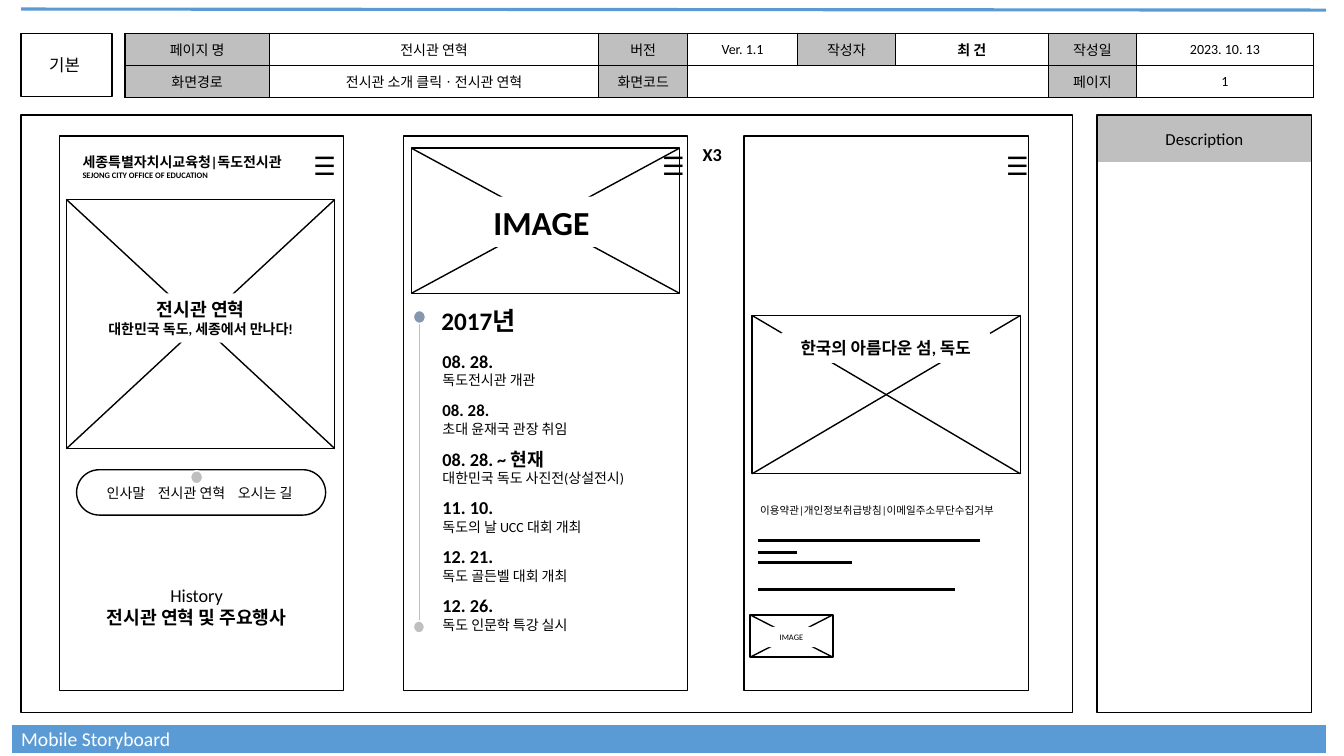
from lxml import etree
from pptx import Presentation
from pptx.dml.color import RGBColor
from pptx.enum.shapes import MSO_CONNECTOR, MSO_SHAPE
from pptx.enum.text import MSO_ANCHOR, PP_ALIGN
from pptx.oxml.ns import qn
from pptx.util import Inches, Pt

RECTANGLE, OVAL, PILL = MSO_SHAPE.RECTANGLE, MSO_SHAPE.OVAL, MSO_SHAPE.ROUNDED_RECTANGLE
STRAIGHT = MSO_CONNECTOR.STRAIGHT
LEFT, CENTER = PP_ALIGN.LEFT, PP_ALIGN.CENTER
TOP, MIDDLE = MSO_ANCHOR.TOP, MSO_ANCHOR.MIDDLE

BLACK, WHITE, GRAY, BLUE, SLATE = "000000", "FFFFFF", "BFBFBF", "5B9BD5", "8497B0"
FONT = "Calibri"
TITLE_ONLY = 5


def color(hex_code):
    return RGBColor.from_string(hex_code)


def inches(*lengths):
    return [Inches(length) for length in lengths]


class Storyboard:
    def __init__(self, slide):
        self.slide = slide
        self.shapes = slide.shapes

    def fill_text(self, frame, lines, align=LEFT, anchor=TOP, wrap=True, text_color=BLACK):
        """Fill a text frame with (text, size, bold) lines, one paragraph each."""
        for name, value in {"word_wrap": wrap, "vertical_anchor": anchor}.items():
            setattr(frame, name, value)
        for index, (text, size, bold) in enumerate(lines):
            paragraph = frame.add_paragraph() if index else frame.paragraphs[0]
            paragraph.alignment = align
            run = paragraph.add_run()
            run.text = text
            for name, value in {"name": FONT, "size": Pt(size), "bold": bold}.items():
                setattr(run.font, name, value)
            run.font.color.rgb = color(text_color)

    def title(self, box, text, size, text_color):
        title = self.shapes.title
        for name, value in zip(("left", "top", "width", "height"), inches(*box)):
            setattr(title, name, value)
        self.fill_text(title.text_frame, [(text, size, False)], text_color=text_color)
        self.shapes._spTree.append(title._element)  # in front of the footer band

    def text(self, box, lines, **style):
        self.fill_text(self.shapes.add_textbox(*inches(*box)).text_frame, lines, **style)

    def shape(self, box, kind=RECTANGLE, fill=WHITE, line=BLACK, lines=(), **style):
        shape = self.shapes.add_shape(kind, *inches(*box))
        shape.shadow.inherit = False
        if fill:
            shape.fill.solid()
            shape.fill.fore_color.rgb = color(fill)
        else:
            shape.fill.background()
        if line:
            shape.line.color.rgb = color(line)
            shape.line.width = Pt(1)
        else:
            shape.line.fill.background()
        if lines:
            self.fill_text(shape.text_frame, lines, **style)
        return shape

    def line(self, x1, y1, x2, y2, line_color=BLACK, width=1):
        connector = self.shapes.add_connector(STRAIGHT, *inches(x1, y1, x2, y2))
        connector.line.color.rgb = color(line_color)
        connector.line.width = Pt(width)
        etree.SubElement(connector._element.spPr, qn("a:effectLst"))

    def image_frame(self, box, label_box, lines):
        """Draw a crossed-out image area with a label over it."""
        left, top, width, height = box
        self.shape(box)
        self.line(left, top, left + width, top + height)
        self.line(left, top + height, left + width, top)
        self.shape(label_box, line=None, lines=lines, align=CENTER)

    def borders(self, cell):
        properties = cell._tc.get_or_add_tcPr()
        for side in ("lnL", "lnR", "lnT", "lnB"):
            border = etree.SubElement(properties, qn(f"a:{side}"), w=str(Pt(1)))
            fill = etree.SubElement(border, qn("a:solidFill"))
            etree.SubElement(fill, qn("a:srgbClr"), val=BLACK)

    def table(self, left, top, row_height, edges, rows, labels, bold_text, merged):
        size = inches(left, top, edges[-1] - left, row_height * len(rows))
        table = self.shapes.add_table(len(rows), len(edges) - 1, *size).table
        table.first_row = table.horz_banding = False
        for column, start, end in zip(table.columns, edges, edges[1:]):
            column.width = Inches(end - start)
        for row, texts in zip(table.rows, rows):
            row.height = Inches(row_height)
            for cell, text in zip(row.cells, texts):
                self.borders(cell)
                cell.fill.solid()
                cell.fill.fore_color.rgb = color(GRAY if text in labels else WHITE)
                cell.margin_top = cell.margin_bottom = 0
                cell.vertical_anchor = MIDDLE
                if text:
                    self.fill_text(cell.text_frame, [(text, 10, text == bold_text)],
                                   align=CENTER, anchor=MIDDLE)
        first, last = merged
        table.cell(*first).merge(table.cell(*last))


def build_frame(board):
    board.shape((0.21, 1.14, 10.43, 5.93))
    board.shape((0.21, 0.33, 0.9, 0.63))
    board.text((0.39, 0.49, 0.54, 0.36), [("기본", 12, False)], wrap=False)
    board.line(0.21, 0.09, 13.15, 0.1, BLUE, 2.25)
    board.line(0.12, 7.33, 13.15, 7.33, BLUE, 20)
    board.title((0.11, 7.16, 2.61, 0.34), "Mobile Storyboard", 14, WHITE)
    board.shape((10.87, 1.14, 2.15, 0.47), fill=GRAY, line=WHITE,
                lines=[("Description", 12, False)], align=CENTER, anchor=MIDDLE)
    board.shape((10.88, 1.14, 2.13, 5.93), fill=None)
    board.table(
        1.24, 0.33, 0.32, [1.24, 2.67, 5.94, 6.82, 7.91, 8.88, 10.4, 11.27, 13.03],
        [["페이지 명", "전시관 연혁", "버전", "Ver. 1.1", "작성자", "최 건", "작성일", "2023. 10. 13"],
         ["화면경로", "전시관 소개 클릭ㆍ전시관 연혁", "화면코드", "", "", "", "페이지", "1"]],
        labels={"페이지 명", "버전", "작성자", "작성일", "화면경로", "화면코드", "페이지"},
        bold_text="최 건", merged=((1, 3), (1, 5)))


def build_intro_screen(board):
    board.image_frame((0.66, 1.98, 2.66, 2.47), (0.84, 2.91, 2.3, 0.49),
                      [("전시관 연혁", 13, True), ("대한민국 독도, 세종에서 만나다!", 10, True)])
    board.shape((0.76, 4.66, 2.47, 0.45), PILL, fill=None).adjustments[0] = 0.5
    for menu, center in (("인사말", 1.25), ("전시관 연혁", 1.9), ("오시는 길", 2.63)):
        board.text((center - 0.45, 4.76, 0.9, 0.27), [(menu, 10, False)],
                   align=CENTER, wrap=False)
    board.shape((1.89, 4.67, 0.12, 0.13), OVAL, GRAY, WHITE)
    board.text((0.72, 1.47, 2.52, 0.37),
               [("세종특별자치시교육청|독도전시관", 10, True),
                ("SEJONG CITY OFFICE OF EDUCATION", 6, True)])
    board.shape((0.8, 5.75, 2.3, 0.54), line=None, align=CENTER,
                lines=[("History", 13, False), ("전시관 연혁 및 주요행사", 13, True)])


def build_timeline_screen(board):
    board.image_frame((4.08, 1.47, 2.66, 1.44), (4.68, 1.95, 1.38, 0.5), [("IMAGE", 24, True)])
    board.text((4.28, 2.93, 0.98, 0.49), [("2017년", 18, True)], anchor=MIDDLE)
    board.line(4.16, 3.16, 4.16, 6.22, GRAY, 0.5)
    board.shape((4.1, 3.08, 0.12, 0.13), OVAL, SLATE, WHITE)
    board.shape((4.1, 6.16, 0.11, 0.12), OVAL, GRAY, WHITE)
    events = [("08. 28.", 13, "독도전시관 개관"),
              ("08. 28.", 12, "초대 윤재국 관장 취임"),
              ("08. 28. ~ 현재", 13, "대한민국 독도 사진전(상설전시)"),
              ("11. 10.", 13, "독도의 날 UCC 대회 개최"),
              ("12. 21.", 13, "독도 골든벨 대회 개최"),
              ("12. 26.", 13, "독도 인문학 특강 실시")]
    for index, (date, size, event) in enumerate(events):
        board.text((4.29, 3.42 + index * 0.485, 2.28, 0.49),
                   [(date, size, True), (event, 10, False)], anchor=MIDDLE)
    board.text((6.87, 1.36, 0.43, 0.35), [("X3", 13, True)], anchor=MIDDLE)


def build_footer_screen(board):
    for y, end in ((5.36, 9.72), (5.48, 7.9), (5.58, 8.45), (5.85, 9.47)):
        board.line(7.52, y, end, y, width=2.25)
    board.image_frame((7.44, 6.1, 0.82, 0.42), (7.57, 6.22, 0.56, 0.2), [("IMAGE", 6, False)])
    board.image_frame((7.46, 3.13, 2.66, 1.57), (7.75, 3.3, 2.07, 0.3),
                      [("한국의 아름다운 섬, 독도", 12, True)])
    board.shape((7.44, 4.95, 2.69, 0.23), line=None,
                lines=[("이용약관|개인정보취급방침|이메일주소무단수집거부", 7.5, False)])


def main():
    presentation = Presentation()
    presentation.slide_width, presentation.slide_height = inches(13.33, 7.5)
    board = Storyboard(presentation.slides.add_slide(presentation.slide_layouts[TITLE_ONLY]))
    build_frame(board)
    screens = ((0.59, 3.01, build_intro_screen), (4, 6.47, build_timeline_screen),
               (7.38, 9.88, build_footer_screen))
    for left, menu_left, build_screen in screens:
        board.shape((left, 1.35, 2.82, 5.5))
        build_screen(board)
        board.text((menu_left, 1.44, 0.33, 0.4), [("☰", 18, False)], align=CENTER)
    presentation.save("out.pptx")


if __name__ == "__main__":
    main()
